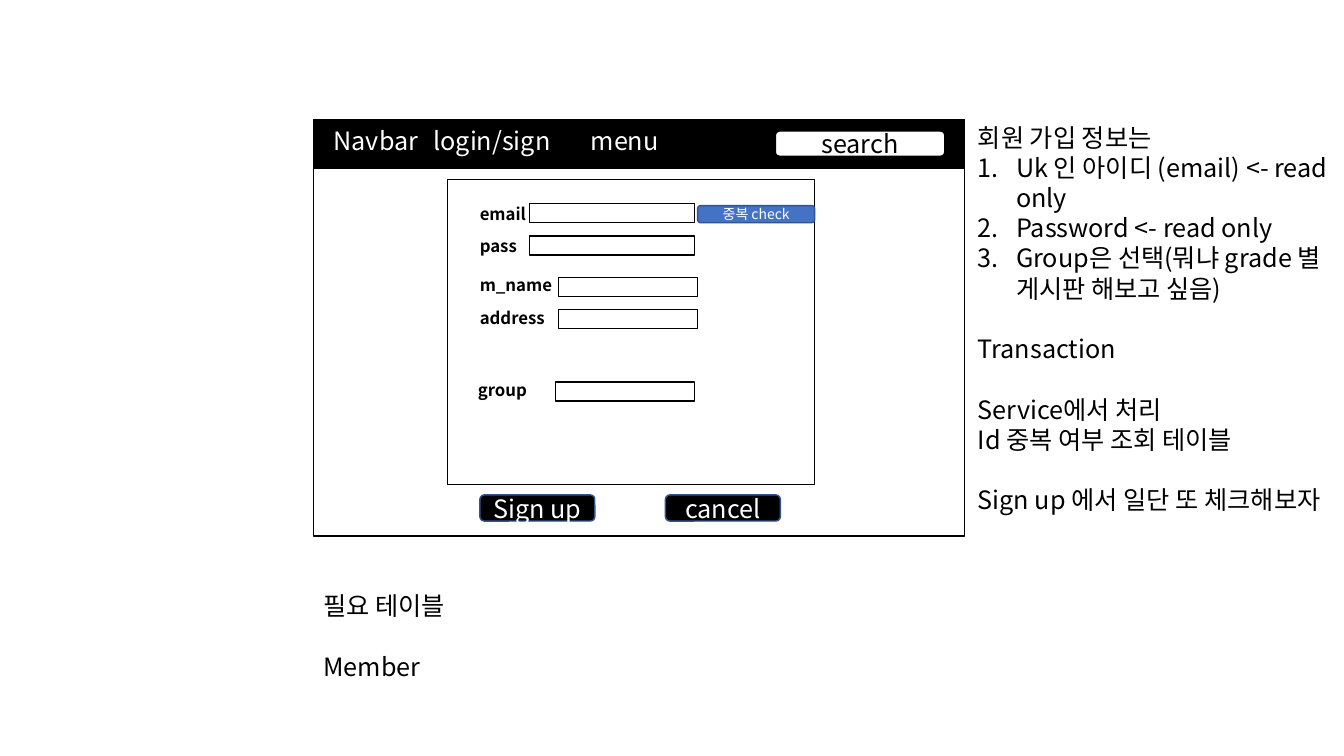
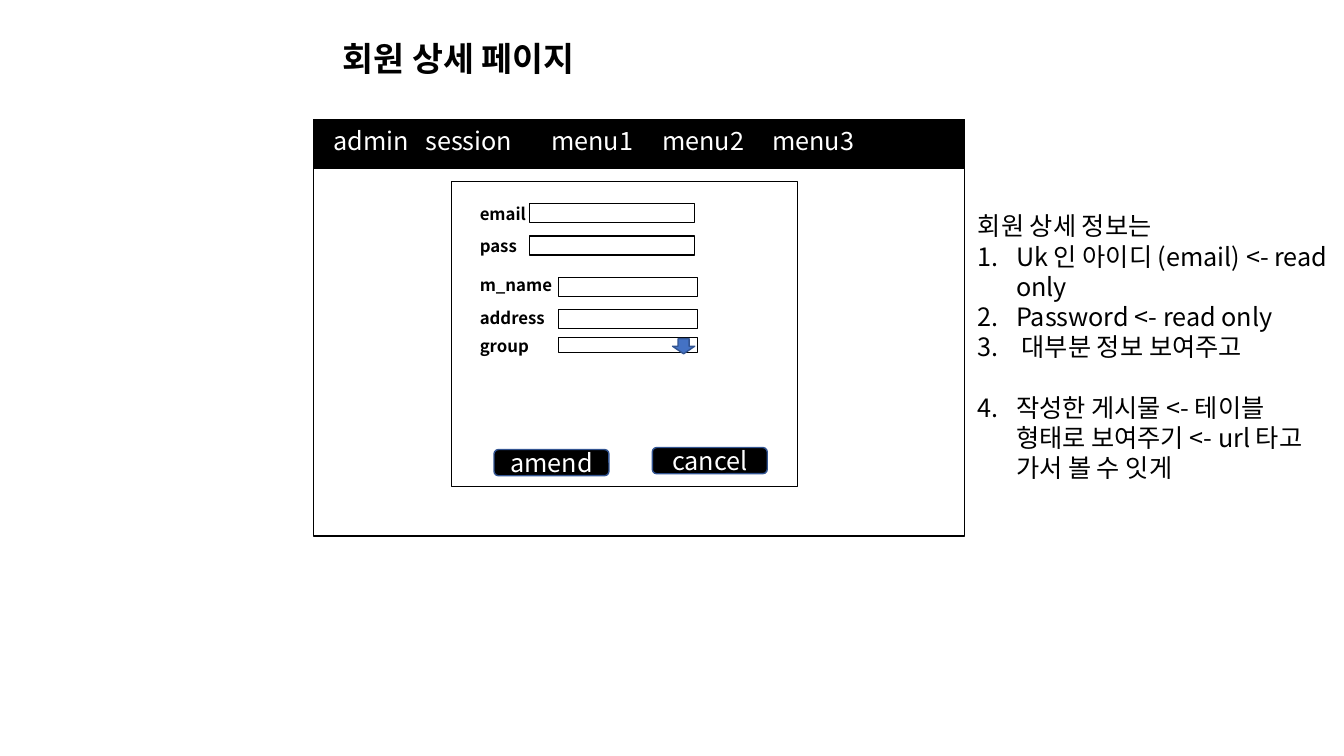
"""Build the sign-up and member detail wireframes."""
from dataclasses import dataclass

from lxml import etree
from pptx import Presentation
from pptx import util as u
from pptx.dml.color import RGBColor
from pptx.enum import shapes, text
from pptx.oxml.ns import qn

PX = 9144


@dataclass(frozen=True)
class Theme:
    """Colours, font and type sizes."""
    font: str = "Noto Sans CJK KR"
    ink: str = "000000"
    paper: str = "FFFFFF"
    accent: str = "4472C4"
    edge: str = "325491"
    title: int = 24
    body: int = 18
    label: int = 12
    small: int = 10
    leading: float = 1.2


@dataclass(frozen=True)
class Note:
    """One line of the notes: numbered or plain, with or without a gap above."""
    words: str
    numbered: bool = False
    gap: bool = False


class Wireframe:
    """Draws page elements on the current slide in one theme."""

    def __init__(self, theme):
        """Open a widescreen presentation."""
        self.theme = theme
        self.deck = Presentation()
        self.deck.slide_width, self.deck.slide_height = 1333 * PX, 750 * PX
        self.slide = None

    def page(self):
        """Start a slide with the browser window and its bar."""
        self.slide = self.deck.slides.add_slide(self.deck.slide_layouts[6])
        self.box(311, 119, 646, 413)
        self.box(311, 119, 646, 48, fill=self.theme.ink)

    def box(self, x, y, width, height, fill=None, edge=None,
            preset=shapes.MSO_SHAPE.RECTANGLE):
        """Add a filled and outlined preset shape."""
        outline = self.slide.shapes.add_shape(
            preset, x * PX, y * PX, width * PX, height * PX)
        outline.shadow.inherit = False
        outline.fill.solid()
        outline.fill.fore_color.rgb = RGBColor.from_string(fill or self.theme.paper)
        outline.line.color.rgb = RGBColor.from_string(edge or self.theme.ink)
        outline.line.width = u.Pt(1)
        return outline

    def style(self, paragraph, size, colour, bold=False):
        """Set the font and line height, and return the font element."""
        paragraph.line_spacing = u.Pt(size * self.theme.leading)
        font = paragraph.font
        font.name, font.size, font.bold = self.theme.font, u.Pt(size), bold
        font.color.rgb = RGBColor.from_string(colour)
        defaults = paragraph._p.pPr.find(qn("a:defRPr"))
        etree.SubElement(defaults, qn("a:ea"), typeface=self.theme.font)
        return defaults

    def frame(self, x, y, width, height):
        """Add a wrapping text box and return its text frame."""
        area = self.slide.shapes.add_textbox(
            x * PX, y * PX, width * PX, height * PX).text_frame
        area.word_wrap = True
        return area

    def line(self, words, x, y, width, height, size, colour=None, bold=False):
        """Add one line of text and return its font element."""
        paragraph = self.frame(x, y, width, height).paragraphs[0]
        paragraph.text = words
        return self.style(paragraph, size, colour or self.theme.ink, bold)

    def title(self, words):
        """Add the page title."""
        self.line(words, 330, 33, 429, 50, self.theme.title, bold=True)

    def menu(self, items, stops):
        """Add the bar entries, set apart by tab stops."""
        defaults = self.line("\t".join(items), 321, 119, 625, 40,
                             self.theme.body, self.theme.paper)
        tabs = etree.Element(qn("a:tabLst"))
        for stop in stops:
            etree.SubElement(tabs, qn("a:tab"), pos=str(stop * PX), algn="l")
        defaults.addprevious(tabs)

    def button(self, words, x, y, width=114, height=26, fill=None, edge=None,
               colour=None, size=None):
        """Add a rounded button with a centred caption."""
        theme = self.theme
        key = self.box(x, y, width, height, fill or theme.ink, edge or theme.edge,
                       shapes.MSO_SHAPE.ROUNDED_RECTANGLE)
        key.text_frame.vertical_anchor = text.MSO_ANCHOR.MIDDLE
        caption = key.text_frame.paragraphs[0]
        caption.text = words
        caption.alignment = text.PP_ALIGN.CENTER
        self.style(caption, size or theme.body, colour or theme.paper)

    def field(self, name, x, y, width, height=19, rise=7, label_x=466):
        """Add an input field and its label."""
        self.box(x, y, width, height)
        self.line(name, label_x, y - rise, 108, 30, self.theme.label, bold=True)

    def member_fields(self):
        """Add the four fields that both forms share."""
        for name, y in (("email", 202), ("pass", 234)):
            self.field(name, 525, y, 164, rise=5)
        for name, y in (("m_name", 275), ("address", 307)):
            self.field(name, 554, y, 138)

    def notes(self, entries, x, y, width, height):
        """Add a column of plain and numbered notes."""
        area = self.frame(x, y, width, height)
        for index, note in enumerate(entries):
            paragraph = area.add_paragraph() if index else area.paragraphs[0]
            paragraph.text = note.words
            if note.gap:
                paragraph.space_before = u.Pt(self.theme.body * self.theme.leading)
            defaults = self.style(paragraph, self.theme.body, self.theme.ink)
            if note.numbered:
                properties = paragraph._p.pPr
                properties.set("marL", str(38 * PX))
                properties.set("indent", str(-38 * PX))
                defaults.addprevious(
                    etree.Element(qn("a:buAutoNum"), type="arabicPeriod"))


def sign_up(wire):
    """Draw the sign-up page."""
    theme = wire.theme
    wire.page()
    wire.menu(("Navbar", "login/sign", "menu"), (99, 255))
    wire.button("search", 769, 130, 168, 25, theme.paper, theme.ink, theme.ink)
    wire.box(444, 178, 364, 303)
    wire.button("Sign up", 476, 491)
    wire.button("cancel", 660, 491)
    wire.member_fields()
    wire.field("group", 551, 379, 138, label_x=464)
    wire.button("중복 check", 692, 204, 116, 17, theme.accent, size=theme.small)
    wire.notes((
        Note("회원 가입 정보는"),
        Note("Uk 인 아이디 (email) <- read only", numbered=True),
        Note("Password <- read only", numbered=True),
        Note("Group은 선택(뭐냐 grade 별 게시판 해보고 싶음)", numbered=True),
        Note("Transaction", gap=True),
        Note("Service에서 처리", gap=True),
        Note("Id 중복 여부 조회 테이블"),
        Note("Sign up 에서 일단 또 체크해보자", gap=True),
    ), 960, 116, 373, 464)
    wire.notes((Note("필요 테이블"), Note("Member", gap=True)), 311, 581, 716, 101)


def member_detail(wire):
    """Draw the member detail page."""
    theme = wire.theme
    wire.page()
    wire.title("회원 상세 페이지")
    wire.menu(("admin", "session", "menu1", "menu2", "menu3"), (91, 216, 326, 435))
    wire.box(448, 180, 343, 303)
    wire.button("amend", 490, 446)
    wire.button("cancel", 647, 444)
    wire.member_fields()
    wire.field("group", 554, 335, 138, 15)
    wire.box(667, 336, 22, 15, theme.accent, theme.edge, shapes.MSO_SHAPE.DOWN_ARROW)
    wire.notes((
        Note("회원 상세 정보는"),
        Note("Uk 인 아이디 (email) <- read only", numbered=True),
        Note("Password <- read only", numbered=True),
        Note(" 대부분 정보 보여주고", numbered=True),
        Note("작성한 게시물 <- 테이블 형태로 보여주기 <- url 타고 가서 볼 수 잇게",
             numbered=True, gap=True),
    ), 960, 204, 373, 313)


def main():
    """Build both pages and save them."""
    wire = Wireframe(Theme())
    sign_up(wire)
    member_detail(wire)
    wire.deck.save("out.pptx")


if __name__ == "__main__":
    main()
